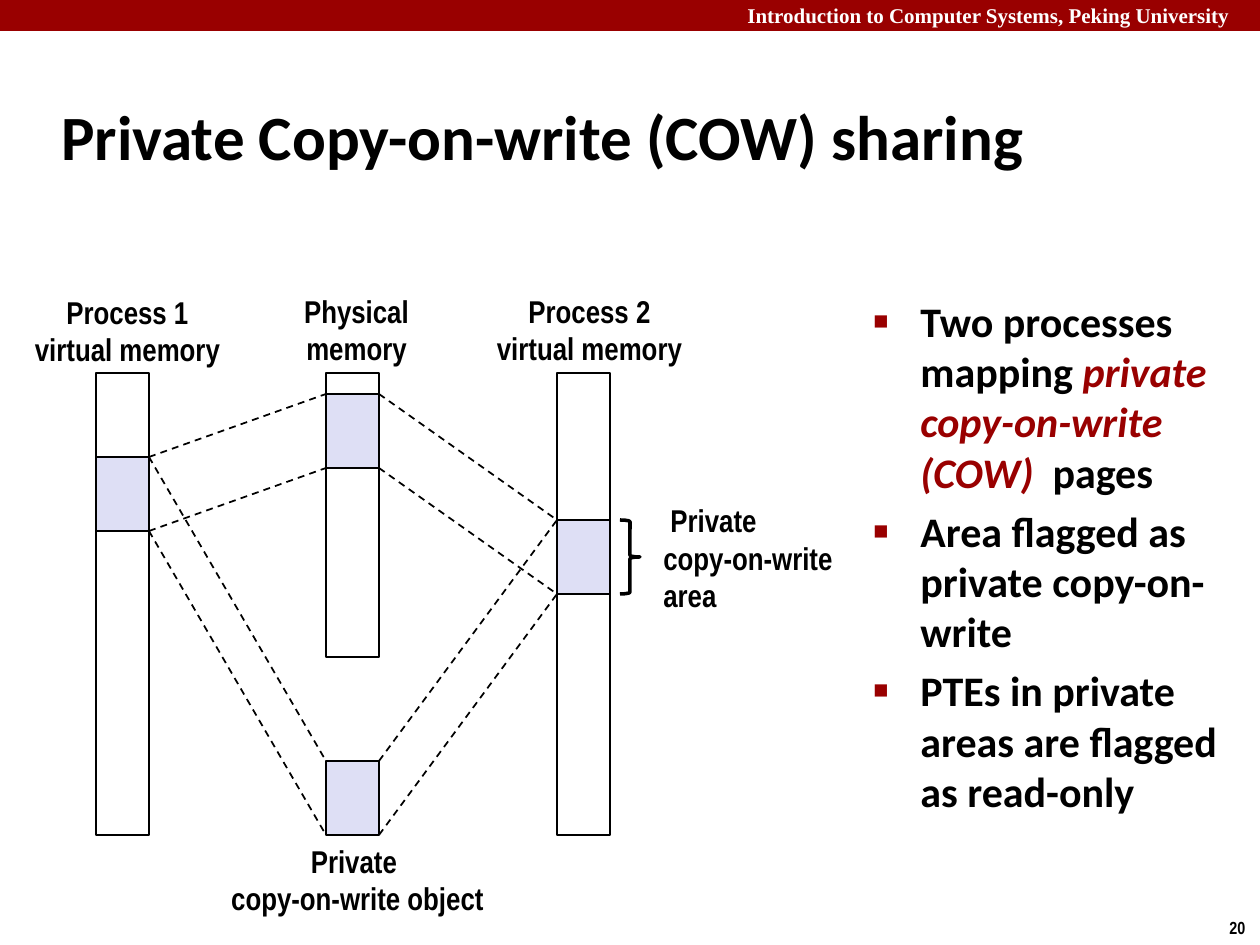
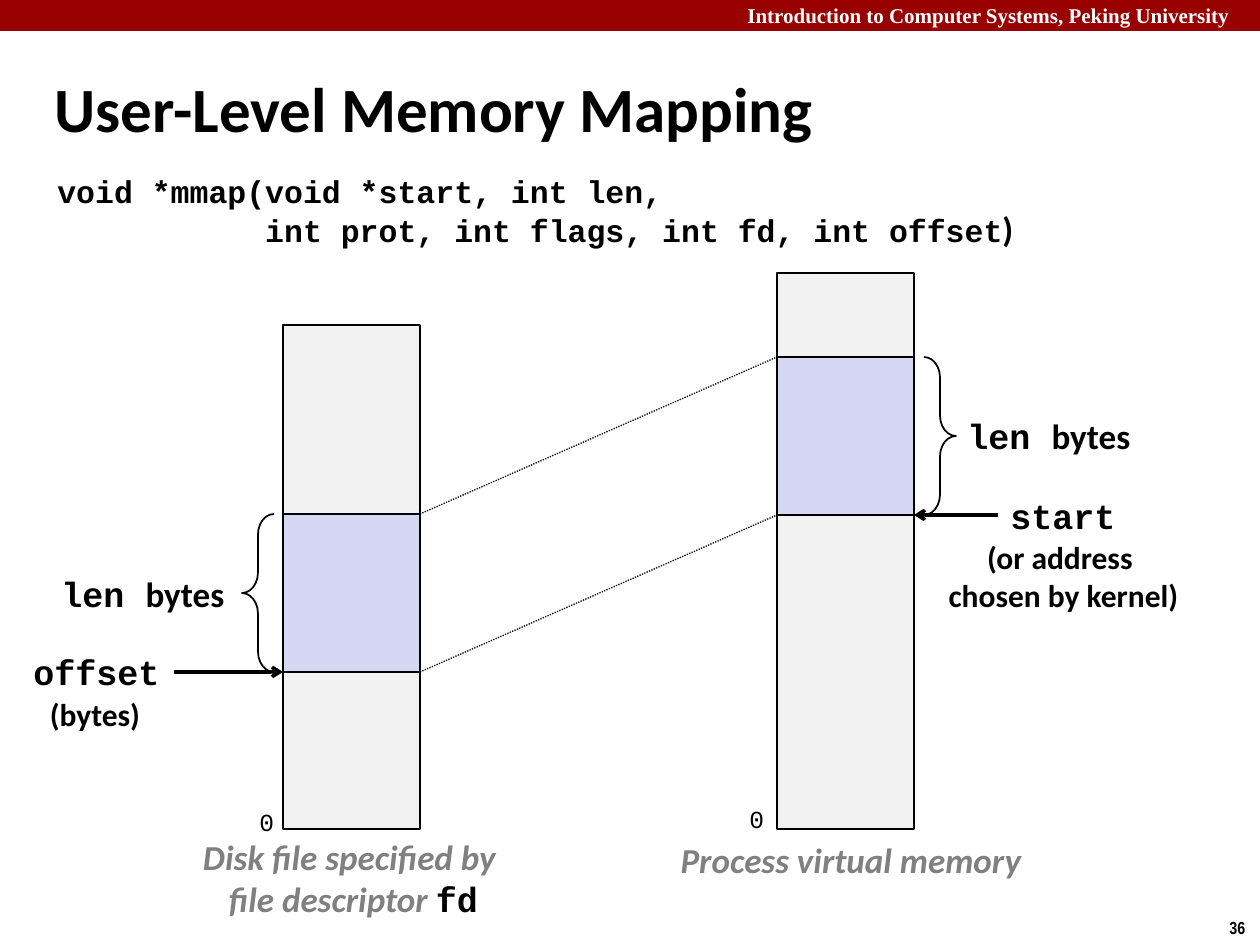
"""Build two slides on copy-on-write sharing and user-level memory mapping."""
from lxml import etree
from pptx import Presentation
from pptx.dml.color import RGBColor
from pptx.enum.dml import MSO_LINE
from pptx.enum.shapes import MSO_CONNECTOR, MSO_SHAPE
from pptx.enum.text import MSO_ANCHOR, MSO_AUTO_SIZE, PP_ALIGN
from pptx.oxml.ns import qn
from pptx.util import Emu, Pt

RECTANGLE = MSO_SHAPE.RECTANGLE
LEFT_BRACE, RIGHT_BRACE = MSO_SHAPE.LEFT_BRACE, MSO_SHAPE.RIGHT_BRACE
STRAIGHT = MSO_CONNECTOR.STRAIGHT
DASH, DOTS = MSO_LINE.DASH, MSO_LINE.ROUND_DOT
TOP, MIDDLE = MSO_ANCHOR.TOP, MSO_ANCHOR.MIDDLE
LEFT, CENTER = PP_ALIGN.LEFT, PP_ALIGN.CENTER
NO_FIT, GROW = MSO_AUTO_SIZE.NONE, MSO_AUTO_SIZE.SHAPE_TO_FIT_TEXT

RED = RGBColor(0x99, 0x00, 0x00)
BLACK = RGBColor(0x00, 0x00, 0x00)
WHITE = RGBColor(0xFF, 0xFF, 0xFF)
GRAY = RGBColor(0x80, 0x80, 0x80)
MEMORY_GRAY = RGBColor(0xF2, 0xF2, 0xF2)
PAGE_BLUE = RGBColor(0xDE, 0xDF, 0xF5)
AREA_BLUE = RGBColor(0xD6, 0xD6, 0xF5)

BODY, NARROW, CODE, SERIF = "Calibri", "Arial Narrow", "Courier New", "Times New Roman"

PX_PER_INCH = 126
SLIDE_WIDTH, SLIDE_HEIGHT = 1260, 945
COURSE = "Introduction to Computer Systems, Peking University"

COW_TITLE = "Private Copy-on-write (COW) sharing"
COW_POINTS = [
    ["Two processes mapping ",
     ("private copy-on-write (COW)  ", {"color": RED, "italic": True}),
     "pages"],
    "Area flagged as private copy-on-write",
    "PTEs in private areas are flagged as read-only",
]
COLUMN_TOP, COLUMN_WIDTH, PAGE_HEIGHT = 373, 53, 74
COW_COLUMNS = {
    "process 1": (96, 462),
    "physical": (326, 284),
    "process 2": (557, 462),
}
COW_PAGES = {
    "process 1": (96, 457),
    "physical": (326, 394),
    "process 2": (557, 520),
    "object": (326, 761),
}
COW_LINKS = [
    ("process 1", "physical"), ("process 1", "object"),
    ("physical", "process 2"), ("object", "process 2"),
]
COW_LABELS = [
    ((21, 286, 213, 89), ["Process 1", "virtual memory"], CENTER),
    ((291, 285, 131, 89), ["Physical", "memory"], CENTER),
    ((483, 285, 213, 89), ["Process 2", "virtual memory"], CENTER),
    ((217, 835, 281, 89), ["Private ", "copy-on-write object"], CENTER),
    ((651, 494, 199, 127), [" Private", "copy-on-write", "area"], LEFT),
]

MMAP_TITLE = "User-Level Memory Mapping"
MMAP_CODE = [
    "void *mmap(void *start, int len,",
    ["           int prot, int flags, int fd, int offset",
     (")", {"font": BODY, "size": 20})],
]
MEMORY_WIDTH, AREA_HEIGHT, MEMORY_BOTTOM = 137, 158, 829
DISK_LEFT, DISK_TOP, DISK_AREA = 283, 325, 514
PROCESS_LEFT, PROCESS_TOP, PROCESS_AREA = 777, 273, 357
LEN_BYTES = [["len ", ("bytes", {"font": BODY})]]
DISK_CAPTION = [
    "Disk file specified by ",
    ["file descriptor ", ("fd", {"font": CODE, "color": BLACK, "italic": False})],
]
CODE_STYLE = {"font": CODE, "size": 20}
NOTE_STYLE = {"size": 18, "align": CENTER}
CAPTION_STYLE = {"size": 20, "color": GRAY, "italic": True, "align": CENTER}
ZERO_STYLE = {"font": CODE, "size": 14, "bold": False}
MMAP_LABELS = [
    ((955, 408, 190, 55), LEN_BYTES, CODE_STYLE),
    ((49, 566, 190, 55), LEN_BYTES, CODE_STYLE),
    ((998, 488, 131, 55), ["start"], CODE_STYLE),
    ((21, 644, 152, 55), ["offset"], CODE_STYLE),
    ((935, 532, 257, 89), ["(or address ", "chosen by kernel)"], NOTE_STYLE),
    ((37, 689, 116, 50), ["(bytes)"], NOTE_STYLE),
    ((667, 832, 368, 55), ["Process virtual memory"], CAPTION_STYLE),
    ((189, 829, 329, 97), DISK_CAPTION, CAPTION_STYLE),
    ((247, 801, 40, 43), ["0"], ZERO_STYLE),
    ((737, 798, 40, 43), ["0"], ZERO_STYLE),
]


def px(length):
    return Emu(round(length * 914400 / PX_PER_INCH))


def style_font(target, font, size, color, bold, italic):
    target.name, target.size = font, Pt(size)
    target.bold, target.italic = bold, italic
    target.color.rgb = color


def add_bullet(para):
    properties = para._p.get_or_add_pPr()
    properties.set("marL", str(px(47)))
    properties.set("indent", str(-px(47)))
    color = etree.SubElement(properties, qn("a:buClr"))
    etree.SubElement(color, qn("a:srgbClr"), val=str(RED))
    etree.SubElement(properties, qn("a:buSzPct"), val="60000")
    etree.SubElement(properties, qn("a:buFont"), typeface="Arial")
    etree.SubElement(properties, qn("a:buChar"), char="■")


def add_text(page, at, paragraphs, font=BODY, size=18, color=BLACK, bold=True,
             italic=False, align=LEFT, anchor=TOP, wrap=False, bullets=False,
             line_spacing=None, space_before=0):
    base = {"font": font, "size": size, "color": color, "bold": bold, "italic": italic}
    frame = page.shapes.add_textbox(*map(px, at)).text_frame
    frame.word_wrap = wrap
    frame.auto_size = NO_FIT if wrap else GROW
    frame.vertical_anchor = anchor
    for index, content in enumerate(paragraphs):
        para = frame.add_paragraph() if index else frame.paragraphs[0]
        if bullets:
            add_bullet(para)
        para.alignment = align
        if line_spacing:
            para.line_spacing = line_spacing
        if index and space_before:
            para.space_before = Pt(space_before)
        for part in [content] if isinstance(content, str) else content:
            words, changes = (part, {}) if isinstance(part, str) else part
            span = para.add_run()
            span.text = words
            style_font(span.font, **{**base, **changes})


def add_box(page, at, fill=None, line=BLACK, weight=1, kind=RECTANGLE, bend=None):
    box = page.shapes.add_shape(kind, *map(px, at))
    box.shadow.inherit = False
    if bend:
        box.adjustments[0] = bend
    if fill is None:
        box.fill.background()
    else:
        box.fill.solid()
        box.fill.fore_color.rgb = fill
    if line is None:
        box.line.fill.background()
    else:
        box.line.color.rgb = line
        box.line.width = Pt(weight)


def add_line(page, start, end, weight=1, dash=None, arrow=False):
    line = page.shapes.add_connector(STRAIGHT, *map(px, start + end))
    line.line.color.rgb = BLACK
    line.line.width = Pt(weight)
    if dash:
        line.line.dash_style = dash
    if arrow:
        etree.SubElement(line.line._get_or_add_ln(), qn("a:tailEnd"), type="arrow")
    etree.SubElement(line._element.spPr, qn("a:effectLst"))


def add_page(deck, title, title_at, number):
    page = deck.slides.add_slide(deck.slide_layouts[6])
    add_box(page, (0, 0, SLIDE_WIDTH, 31), fill=RED, line=None)
    add_text(page, (735, -4, 525, 38), [COURSE], font=SERIF, size=12, color=WHITE, wrap=True)
    add_text(page, (1217, 911, 43, 34), [number], font=NARROW, size=10)
    add_text(page, title_at, [title], size=36, anchor=MIDDLE, wrap=True)
    return page


def build_sharing(deck):
    page = add_page(deck, COW_TITLE, (49, 60, 1046, 150), "20")
    add_text(page, (861, 289, 399, 577), COW_POINTS, size=24, wrap=True,
             bullets=True, space_before=4.8)
    for left, height in COW_COLUMNS.values():
        add_box(page, (left, COLUMN_TOP, COLUMN_WIDTH, height))
    for left, top in COW_PAGES.values():
        add_box(page, (left, top, COLUMN_WIDTH, PAGE_HEIGHT), fill=PAGE_BLUE)
    for source, target in COW_LINKS:
        source_left, source_top = COW_PAGES[source]
        target_left, target_top = COW_PAGES[target]
        for offset in (0, PAGE_HEIGHT):
            add_line(page, (source_left + COLUMN_WIDTH, source_top + offset),
                     (target_left, target_top + offset), dash=DASH)
    for at, lines, align in COW_LABELS:
        add_text(page, at, lines, font=NARROW, align=align, anchor=MIDDLE)
    add_box(page, (620, COW_PAGES["process 2"][1], 20, PAGE_HEIGHT),
            weight=2, kind=RIGHT_BRACE)


def build_mapping(deck):
    page = add_page(deck, MMAP_TITLE, (42, 68, 1000, 79), "36")
    add_text(page, (45, 169, 1145, 115), MMAP_CODE, font=CODE, wrap=True, line_spacing=0.94)
    for left, top, area in ((DISK_LEFT, DISK_TOP, DISK_AREA),
                            (PROCESS_LEFT, PROCESS_TOP, PROCESS_AREA)):
        add_box(page, (left, top, MEMORY_WIDTH, MEMORY_BOTTOM - top), fill=MEMORY_GRAY)
        add_box(page, (left, area, MEMORY_WIDTH, AREA_HEIGHT), fill=AREA_BLUE)
    for offset in (0, AREA_HEIGHT):
        add_line(page, (DISK_LEFT + MEMORY_WIDTH, DISK_AREA + offset),
                 (PROCESS_LEFT, PROCESS_AREA + offset), weight=0.75, dash=DOTS)
    for kind, left, top in ((LEFT_BRACE, 242, DISK_AREA), (RIGHT_BRACE, 924, PROCESS_AREA)):
        add_box(page, (left, top, 32, AREA_HEIGHT), kind=kind, bend=0.64)
    for tail, tip, area in ((174, DISK_LEFT, DISK_AREA),
                            (998, PROCESS_LEFT + MEMORY_WIDTH, PROCESS_AREA)):
        level = area + AREA_HEIGHT
        add_line(page, (tail, level), (tip, level), weight=2, arrow=True)
    for at, lines, style in MMAP_LABELS:
        add_text(page, at, lines, **style)


def main():
    deck = Presentation()
    deck.slide_width, deck.slide_height = px(SLIDE_WIDTH), px(SLIDE_HEIGHT)
    build_sharing(deck)
    build_mapping(deck)
    deck.save("out.pptx")


if __name__ == "__main__":
    main()
